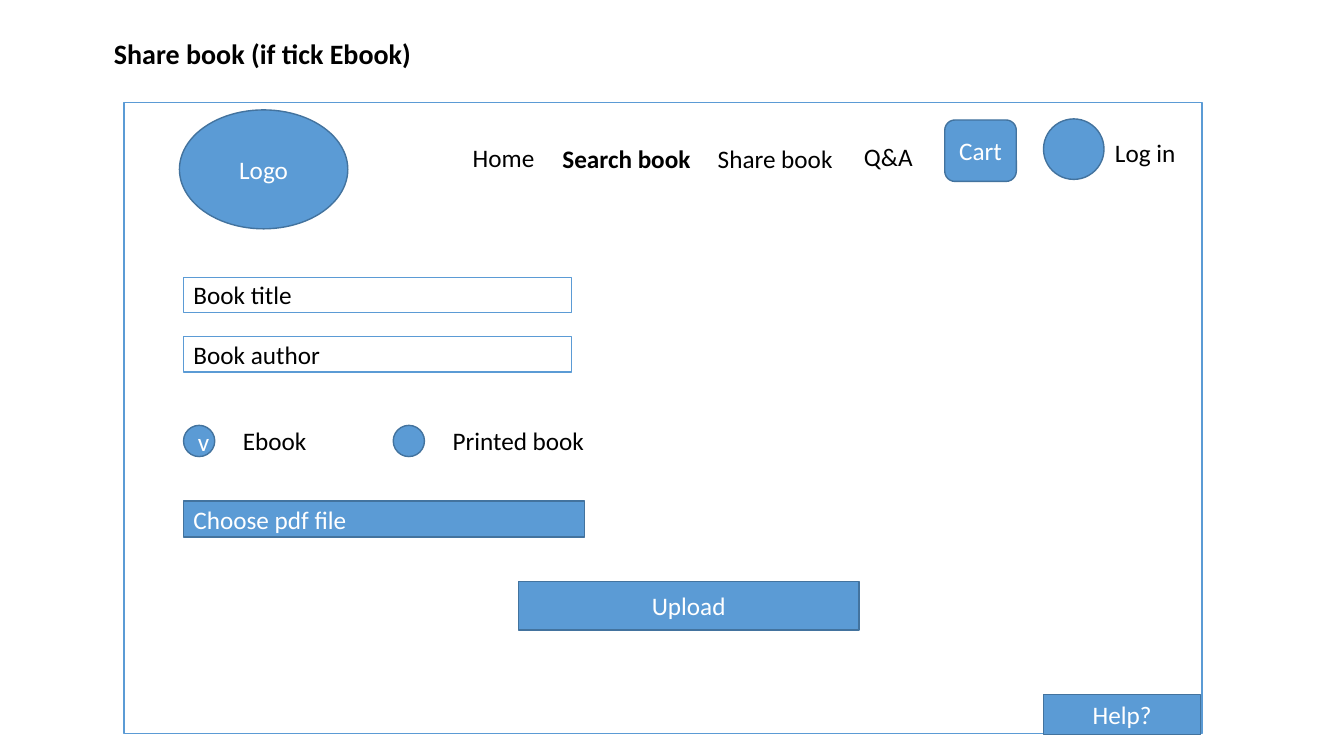
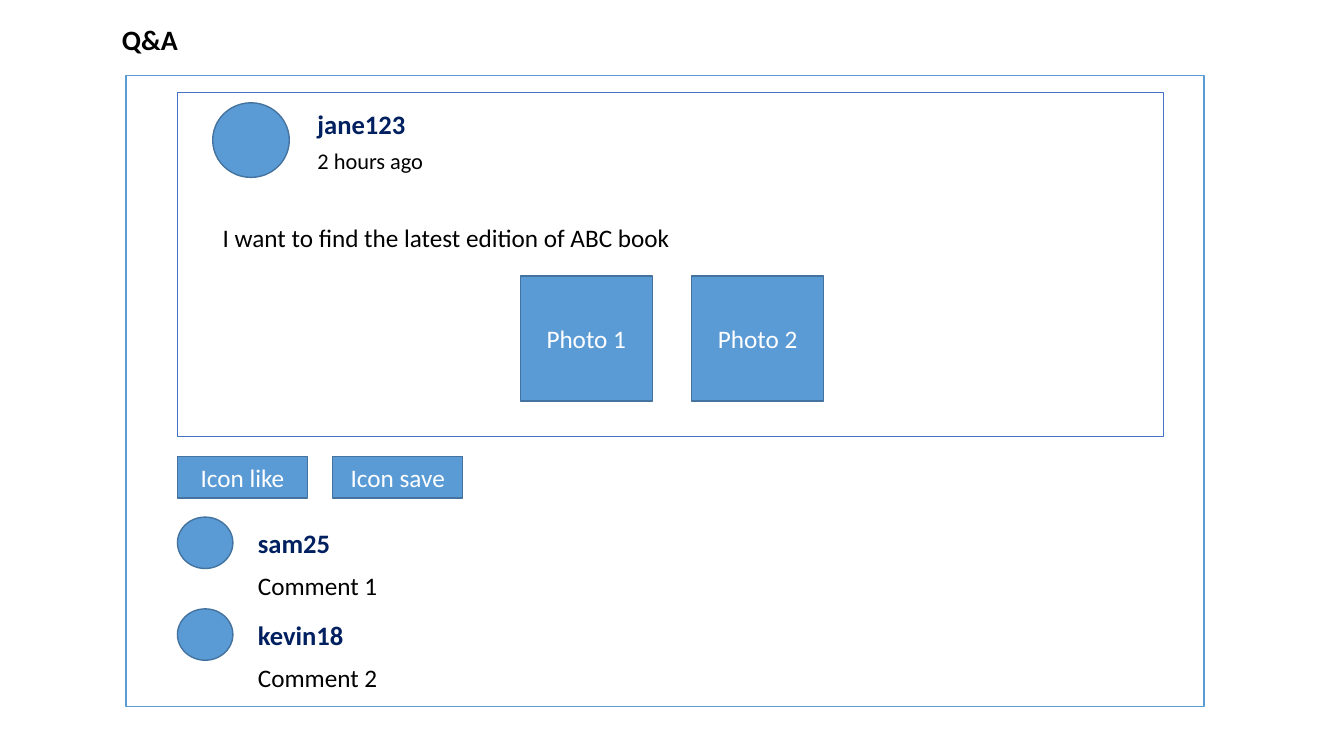
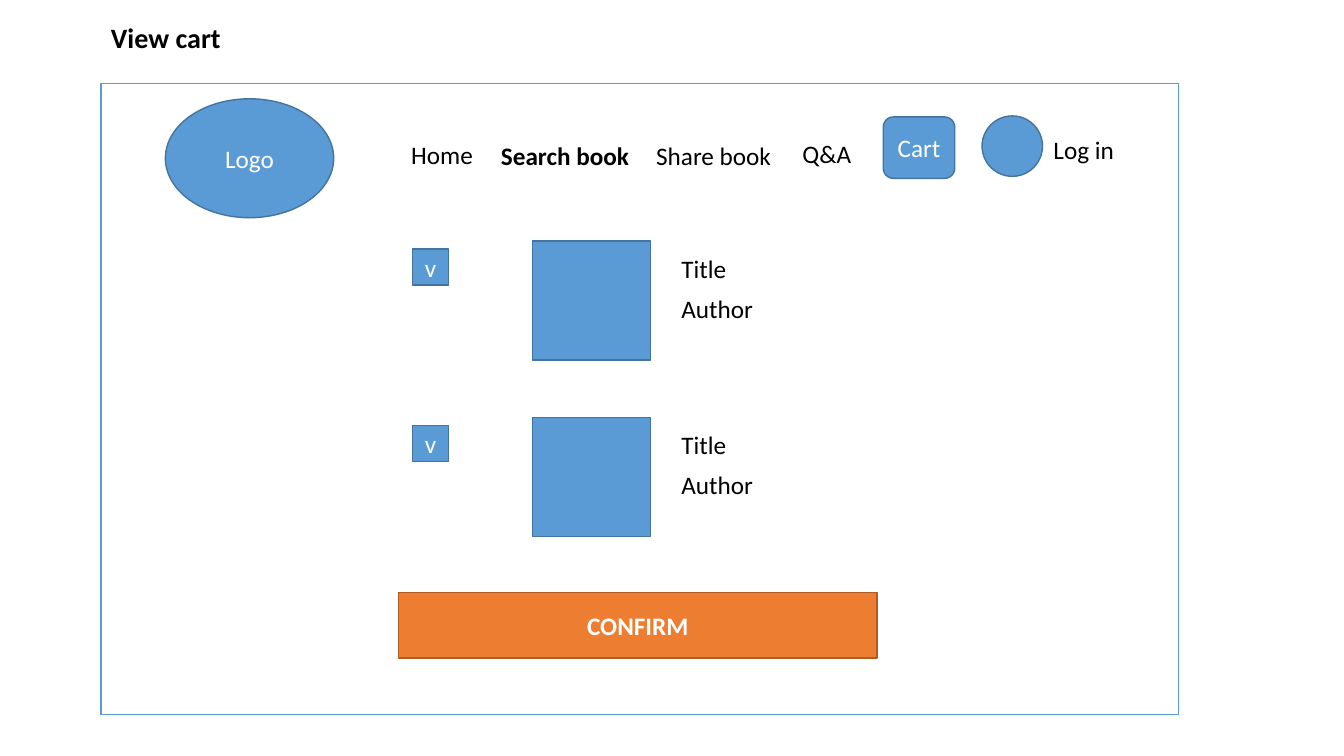
from dataclasses import dataclass

from pptx import Presentation
from pptx.dml.color import RGBColor
from pptx.enum.shapes import MSO_SHAPE
from pptx.enum.text import MSO_ANCHOR, MSO_AUTO_SIZE, PP_ALIGN
from pptx.util import Inches, Pt


@dataclass(frozen=True)
class Theme:
    """Colours, font and type sizes shared by all slides."""
    font: str = "Calibri"
    ink: str = "000000"
    white: str = "FFFFFF"
    name_ink: str = "002060"
    accent: str = "5B9BD5"
    accent_edge: str = "43739E"
    post_edge: str = "4472C4"
    action: str = "ED7D31"
    action_edge: str = "AF5C24"
    title_size: int = 20
    name_size: int = 19
    body_size: int = 18
    small_size: int = 16
    line_width: int = 1


class Wireframe:
    """Draws page mock-ups in one style on the current slide."""

    def __init__(self, presentation, theme):
        """Keep the presentation and its theme."""
        self.presentation = presentation
        self.theme = theme
        self.slide = None
        self.shapes = None

    def add_slide(self, title, left, top, width):
        """Start a slide and place its title."""
        layout = self.presentation.slide_layouts[5]
        self.slide = self.presentation.slides.add_slide(layout)
        self.end_group()
        placeholder = self.slide.shapes.title
        self.place(placeholder, left, top, width, 0.44)
        self.set_text(placeholder, title, anchor=MSO_ANCHOR.TOP,
                      size=self.theme.title_size, bold=True)

    def start_group(self):
        """Send the next elements to a new group."""
        self.shapes = self.slide.shapes.add_group_shape().shapes

    def end_group(self):
        """Send the next elements straight to the slide."""
        self.shapes = self.slide.shapes

    def place(self, shape, *box):
        """Move and size a shape from inches."""
        for name, value in zip(("left", "top", "width", "height"), box):
            setattr(shape, name, Inches(value))

    def set_text(self, shape, text, color=None, size=None, bold=False,
                 align=PP_ALIGN.LEFT, anchor=MSO_ANCHOR.MIDDLE):
        """Fill a shape with one formatted paragraph."""
        frame = shape.text_frame
        frame_format = {"word_wrap": True, "vertical_anchor": anchor,
                        "auto_size": MSO_AUTO_SIZE.NONE}
        for name, value in frame_format.items():
            setattr(frame, name, value)
        paragraph = frame.paragraphs[0]
        paragraph.alignment = align
        run = paragraph.add_run()
        run.text = text
        font_format = {"name": self.theme.font, "bold": bold,
                       "size": Pt(size or self.theme.body_size)}
        for name, value in font_format.items():
            setattr(run.font, name, value)
        run.font.color.rgb = RGBColor.from_string(color or self.theme.ink)

    def label(self, text, left, top, width, height=0.4, **style):
        """Add a text box."""
        box = self.shapes.add_textbox(
            *map(Inches, (left, top, width, height)))
        self.set_text(box, text, anchor=MSO_ANCHOR.TOP, **style)

    def shape(self, kind, box, fill, edge):
        """Add a flat preset shape; a fill of None leaves it open."""
        shape = self.shapes.add_shape(kind, *map(Inches, box))
        shape.shadow.inherit = False
        if fill:
            shape.fill.solid()
            shape.fill.fore_color.rgb = RGBColor.from_string(fill)
        else:
            shape.fill.background()
        shape.line.color.rgb = RGBColor.from_string(edge)
        shape.line.width = Pt(self.theme.line_width)
        return shape

    def block(self, text, *box, kind=MSO_SHAPE.RECTANGLE, fill=None,
              edge=None, align=PP_ALIGN.CENTER, bold=False):
        """Add a coloured button, photo or icon with white text."""
        shape = self.shape(kind, box, fill or self.theme.accent,
                           edge or self.theme.accent_edge)
        if text:
            self.set_text(shape, text, self.theme.white, align=align,
                          bold=bold)

    def circle(self, text, *box):
        """Add a coloured ellipse."""
        self.block(text, *box, kind=MSO_SHAPE.OVAL)

    def field(self, text, top):
        """Add a white form field with its prompt."""
        shape = self.shape(MSO_SHAPE.RECTANGLE, (1.82, top, 3.85, 0.35),
                           self.theme.white, self.theme.accent)
        self.set_text(shape, text)

    def page(self, left, top, fill=None):
        """Add the outline of the web page."""
        self.shape(MSO_SHAPE.RECTANGLE, (left, top, 10.69, 6.26),
                   fill, self.theme.accent)

    def option(self, text, left, width, mark=""):
        """Add a radio button and its label."""
        self.circle(mark, left, 4.22, 0.31, 0.31)
        self.label(text, left + 0.49, 4.17, width)

    def site_logo(self, left, top):
        """Add the site's logo marker."""
        self.circle("Logo", left, top, 1.67, 1.18)

    def navigation(self, left, top):
        """Add the menu, cart and log-in group."""
        self.start_group()
        for text, across, down, width, bold in (
                ("Home", 0, 0.18, 0.92, False),
                ("Search book", 0.89, 0.19, 1.48, True),
                ("Share book", 2.43, 0.19, 1.48, False),
                ("Q&A", 3.88, 0.17, 0.72, False),
                ("Log in", 6.37, 0.13, 1.02, False)):
            self.label(text, left + across, top + down, width, bold=bold)
        self.block("Cart", left + 4.78, top + 0.01, 0.71, 0.61,
                   kind=MSO_SHAPE.ROUNDED_RECTANGLE)
        self.circle("", left + 5.76, top, 0.6, 0.6)
        self.end_group()

    def user_name(self, text, left, top):
        """Add a bold user name."""
        self.label(text, left, top, 3.01, 0.42, color=self.theme.name_ink,
                   size=self.theme.name_size, bold=True)

    def comment(self, user, text, top):
        """Add a comment with its author."""
        self.start_group()
        self.circle("", 1.76, top, 0.55, 0.51)
        self.user_name(user, 2.46, top + 0.05)
        self.label(text, 2.46, top + 0.48, 2.53)
        self.end_group()

    def cart_item(self, top):
        """Add a ticked book with its cover, title and author."""
        self.start_group()
        self.block("", 5.28, top, 1.17, 1.18)
        self.block("v", 4.09, top + 0.08, 0.36, 0.36)
        for row, text in enumerate(("Title", "Author")):
            self.label(text, 6.66, top + 0.07 + 0.4 * row, 1.02)
        self.end_group()


def build_share_book(wireframe):
    """Build the form for sharing an ebook."""
    wireframe.add_slide("Share book (if tick Ebook)", 1.03, 0.31, 3.57)
    wireframe.start_group()
    wireframe.page(1.23, 1.02, wireframe.theme.white)
    for row, prompt in enumerate(("Book title", "Book author")):
        wireframe.field(prompt, 2.75 + 0.59 * row)
    wireframe.option("Ebook", 1.82, 1.21, mark="v")
    wireframe.block("Upload", 5.14, 5.77, 3.38, 0.48)
    wireframe.block("Choose pdf file", 1.82, 4.97, 3.98, 0.36,
                    align=PP_ALIGN.LEFT)
    wireframe.end_group()
    wireframe.option("Printed book", 3.9, 1.52)
    wireframe.navigation(4.59, 1.18)
    wireframe.site_logo(1.78, 1.09)
    wireframe.block("Help?", 10.35, 6.89, 1.56, 0.4)


def build_questions(wireframe):
    """Build the question page with its comments."""
    theme = wireframe.theme
    wireframe.add_slide("Q&A", 1.11, 0.17, 1.9)
    wireframe.page(1.25, 0.75, theme.white)
    wireframe.start_group()
    wireframe.shape(MSO_SHAPE.RECTANGLE, (1.76, 0.92, 9.78, 3.41),
                    theme.white, theme.post_edge)
    wireframe.circle("", 2.11, 1.02, 0.76, 0.74)
    wireframe.user_name("jane123", 3.05, 1.02)
    wireframe.label("2 hours ago", 3.05, 1.41, 3.01, 0.37,
                    size=theme.small_size)
    wireframe.label("I want to find the latest edition of ABC book",
                    2.11, 2.16, 9.01)
    for column, photo in enumerate(("Photo 1", "Photo 2")):
        wireframe.block(photo, 5.16 + 1.7 * column, 2.74, 1.31, 1.24)
    wireframe.end_group()
    for column, icon in enumerate(("Icon like", "Icon save")):
        wireframe.block(icon, 1.76 + 1.54 * column, 4.53, 1.29, 0.41)
    wireframe.comment("sam25", "Comment 1", 5.13)
    wireframe.comment("kevin18", "Comment 2", 6.04)


def build_cart(wireframe):
    """Build the cart page."""
    theme = wireframe.theme
    wireframe.add_slide("View cart", 1, 0.15, 2.31)
    wireframe.block("CONFIRM", 3.95, 5.88, 4.75, 0.65, fill=theme.action,
                    edge=theme.action_edge, bold=True)
    wireframe.page(1, 0.83)
    for row in range(2):
        wireframe.cart_item(2.39 + 1.75 * row)
    wireframe.site_logo(1.64, 0.98)
    wireframe.navigation(3.98, 1.15)


def main():
    """Build and save the presentation."""
    presentation = Presentation()
    presentation.slide_width = Inches(13.33)
    presentation.slide_height = Inches(7.5)
    wireframe = Wireframe(presentation, Theme())
    for build in (build_share_book, build_questions, build_cart):
        build(wireframe)
    presentation.save("out.pptx")


main()
